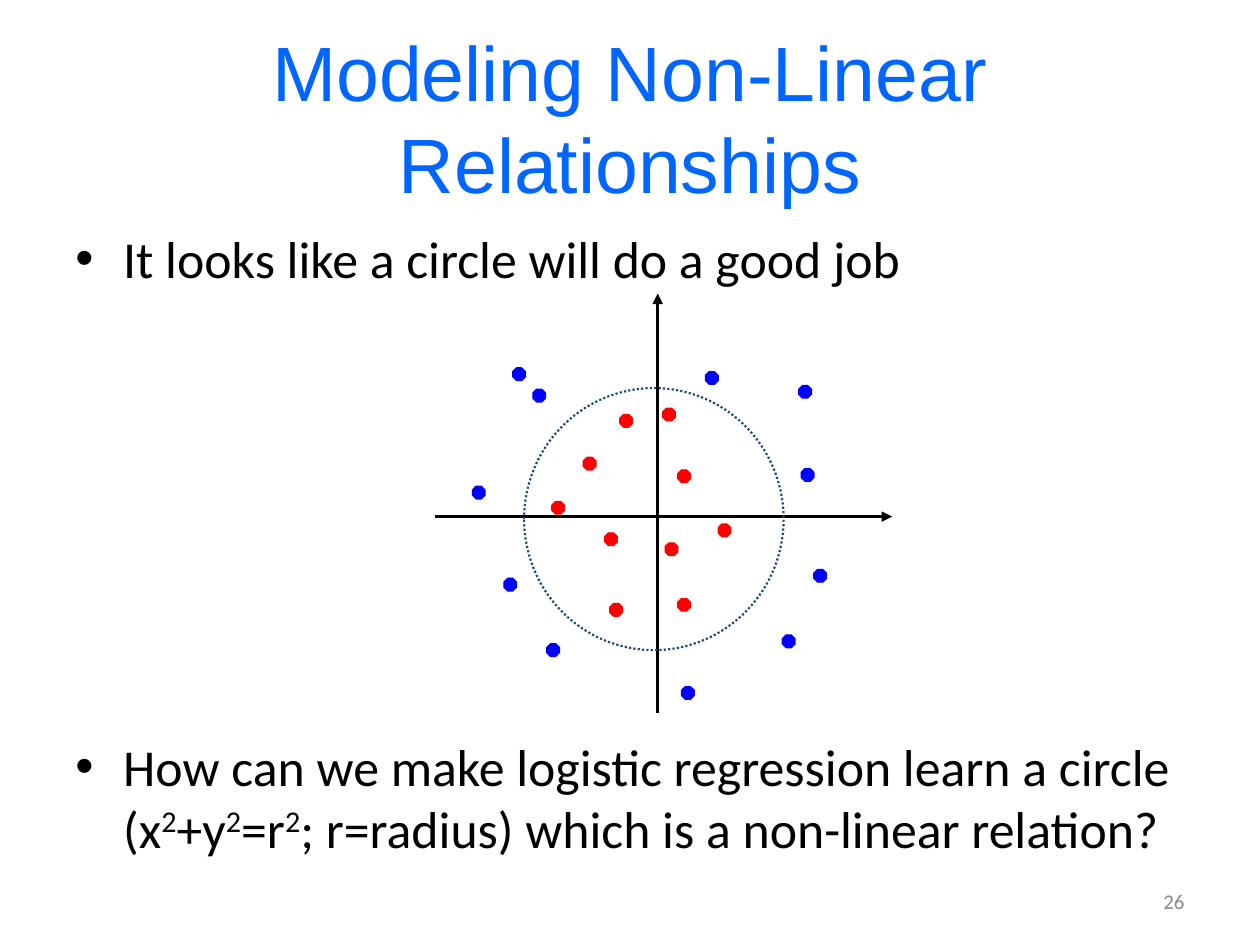
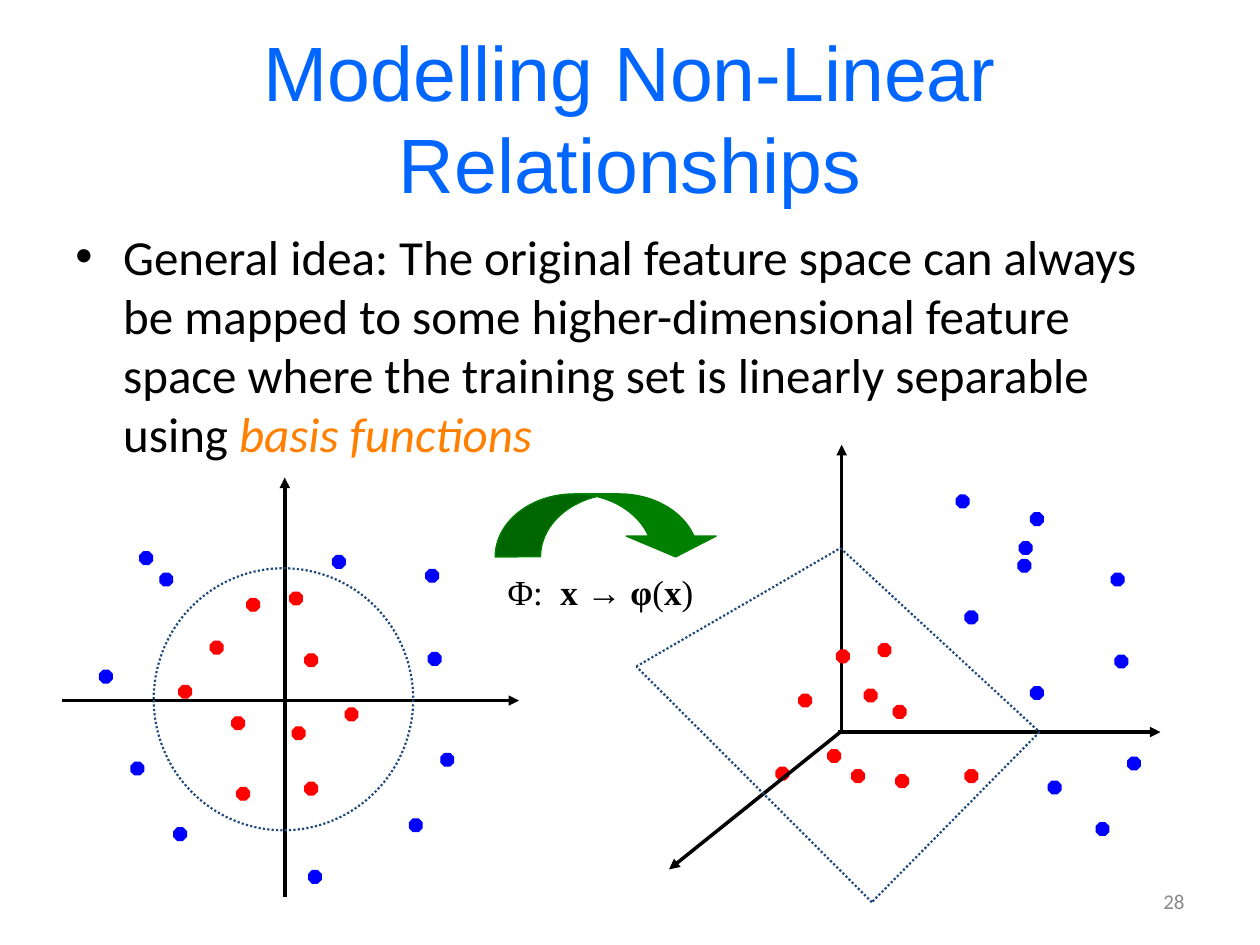
import lxml.etree
import pptx
import pptx.dml.color
import pptx.enum.dml
import pptx.enum.shapes
import pptx.enum.text
import pptx.oxml.ns
import pptx.util

# The slide is a grid of 100 columns by 75 rows of square cells.
COLUMNS, ROWS = 100, 75
CELL = pptx.util.Inches(0.1)
TITLE_BLUE, BLACK, GREY, ORANGE = "0066FF", "000000", "898989", "FF8000"
INSIDE_RED, OUTSIDE_BLUE, BOUNDARY_NAVY, MAPPING_GREEN = "FF0000", "0000FF", "1F497D", "008000"
DOT_SIZE = 1
CIRCLE_SIZE = (20.6, 20.8)
SHAPES = pptx.enum.shapes.MSO_SHAPE
ALIGN = pptx.enum.text.PP_ALIGN
ANCHOR = pptx.enum.text.MSO_ANCHOR
qn = pptx.oxml.ns.qn


def rgb(hex_string):
    return pptx.dml.color.RGBColor.from_string(hex_string)


def add_text(slide, area, runs, size, font="Calibri", color=BLACK, align=ALIGN.LEFT,
             anchor=ANCHOR.TOP, hanging=0, bullet=None):
    """Add one paragraph; runs are (text, format) pairs, area and hanging are in cells."""
    box = slide.shapes.add_textbox(*[round(v * CELL) for v in area])
    frame = box.text_frame
    frame.word_wrap = True
    frame.vertical_anchor = anchor
    paragraph = frame.paragraphs[0]
    paragraph.alignment = align
    if hanging:
        properties = paragraph._p.get_or_add_pPr()
        properties.set("marL", str(round(hanging * CELL)))
        properties.set("indent", str(round(-hanging * CELL)))
        if bullet:
            lxml.etree.SubElement(properties, qn("a:buFont"), typeface="Arial")
            lxml.etree.SubElement(properties, qn("a:buChar"), char=bullet)
    for text, style in runs:
        run = paragraph.add_run()
        run.text = text
        run.font.name = font
        run.font.size = pptx.util.Pt(size)
        run.font.bold = style.get("bold", False)
        run.font.italic = style.get("italic", False)
        run.font.color.rgb = rgb(style.get("color", color))
        if style.get("superscript"):
            run._r.get_or_add_rPr().set("baseline", "30000")


presentation = pptx.Presentation()
presentation.slide_width = COLUMNS * CELL
presentation.slide_height = ROWS * CELL

plain, bold, squared = {}, {"bold": True}, {"superscript": True}
pages = [
    ("Modeling Non-Linear Relationships", "26", [
        (17.5, 29.6, [("It looks like a circle will do a good job", plain)]),
        (57.8, 29.6, [
            ("How can we make logistic regression learn a circle (x", plain), ("2", squared),
            ("+y", plain), ("2", squared), ("=r", plain), ("2", squared),
            ("; r=radius) which is a non-linear relation?", plain)]),
    ]),
    ("Modelling Non-Linear Relationships", "28", [
        (17.5, 28, [
            ("General idea: The original feature space can always be mapped to some "
             "higher-dimensional feature space where the training set is linearly "
             "separable using ", plain),
            ("basis functions", {"italic": True, "color": ORANGE})]),
    ]),
]
slides = []
for title, number, bullets in pages:
    slide = presentation.slides.add_slide(presentation.slide_layouts[6])
    slides.append(slide)
    add_text(slide, (5, 3, 90, 12.5), [(title, plain)], 44, font="Arial",
             color=TITLE_BLUE, align=ALIGN.CENTER, anchor=ANCHOR.MIDDLE)
    for top, size, runs in bullets:
        add_text(slide, (5, top, 90, 12), runs, size, hanging=3.8, bullet="•")
    add_text(slide, (71.7, 69.5, 23.3, 4), [(number, plain)], 12,
             color=GREY, align=ALIGN.RIGHT, anchor=ANCHOR.MIDDLE)

# Positions in each plot are cells right of and below its origin.
plane_axes = [((0, 15.6), (0, -17.7)), ((-17.7, 0), (18.6, 0))]
plane_inside = [(0.9, -8.1), (-5.4, -4.2), (-3.7, 1.8), (2.1, 7), (-2.5, -7.6),
                (-7.9, -0.7), (-3.3, 7.4), (2.1, -3.2), (5.3, 1.1), (1.1, 2.6)]
plane_outside = [(11.9, -3.3), (10.4, 9.9), (-14.2, -1.9), (2.4, 14), (12.9, 4.7),
                 (-8.3, 10.6), (-11.7, 5.4), (-11, -11.3), (4.3, -11), (-9.4, -9.6),
                 (11.7, -9.9)]
space_axes = [((0, -0.2), (0, -22.8)), ((-0.3, 0), (25.3, 0))]
depth_axis = ((-0.1, 0), (-13.7, 10.9))
space_inside = [(3.4, -6.5), (-2.9, -2.5), (1.3, 3.5), (10.3, 3.5), (0.1, -6),
                (2.3, -2.9), (4.8, 3.9), (4.6, -1.6), (-0.6, 1.9), (-4.7, 3.3)]
space_outside = [(22.2, -5.6), (20.7, 7.7), (15.5, -16.9), (15.5, -3.1), (23.2, 2.5),
                 (10.3, -9.1), (16.9, 4.4), (14.6, -14.6), (14.5, -13.2), (9.6, -18.3),
                 (21.9, -12.1)]
plane_corners = [(-0.1, -14.6), (15.7, 0), (2.4, 13.5), (-16.3, -5.2)]
separating_plane = list(zip(plane_corners, plane_corners[1:] + plane_corners[:1]))

plots = [
    (slides[0], (52.2, 41), plane_axes, plane_inside, plane_outside, [("circle", (-0.3, 0.2))]),
    (slides[1], (22.6, 55.6), plane_axes, plane_inside, plane_outside, [("circle", (-0.1, -0.1))]),
    (slides[1], (66.8, 58.1), space_axes, space_inside, space_outside,
     [("axis", depth_axis)] + [("edge", edge) for edge in separating_plane]),
]
for slide, (origin_x, origin_y), axes, inside, outside, boundary in plots:
    marks = [("axis", axis) for axis in axes]
    marks += [("inside", center) for center in inside]
    marks += [("outside", center) for center in outside]
    for role, place in marks + boundary:
        if role in ("axis", "edge"):
            ends = [round(v * CELL) for x, y in place for v in (origin_x + x, origin_y + y)]
            mark = slide.shapes.add_connector(pptx.enum.shapes.MSO_CONNECTOR.STRAIGHT, *ends)
            lxml.etree.SubElement(mark._element.spPr, qn("a:effectLst"))
        else:
            width, height = CIRCLE_SIZE if role == "circle" else (DOT_SIZE, DOT_SIZE)
            area = (origin_x + place[0] - width / 2, origin_y + place[1] - height / 2,
                    width, height)
            mark = slide.shapes.add_shape(
                SHAPES.OVAL if role == "circle" else SHAPES.OCTAGON,
                *[round(v * CELL) for v in area])
            mark.shadow.inherit = False
        if role == "axis":
            mark.line.color.rgb = rgb(BLACK)
            mark.line.width = pptx.util.Pt(2)
            lxml.etree.SubElement(mark.line._get_or_add_ln(), qn("a:tailEnd"), type="triangle")
        elif role in ("edge", "circle"):
            mark.line.color.rgb = rgb(BOUNDARY_NAVY)
            mark.line.width = pptx.util.Pt(1.25)
            mark.line.dash_style = pptx.enum.dml.MSO_LINE.ROUND_DOT
            if role == "circle":
                mark.fill.background()
        else:
            class_color = rgb(INSIDE_RED if role == "inside" else OUTSIDE_BLUE)
            mark.fill.solid()
            mark.fill.fore_color.rgb = class_color
            mark.line.color.rgb = class_color
            mark.line.width = pptx.util.Pt(0.75)

mapping = slides[1].shapes.add_shape(
    SHAPES.CURVED_DOWN_ARROW, *[round(v * CELL) for v in (39.3, 39.2, 17.9, 5)])
mapping.shadow.inherit = False
for index, share in enumerate((0.72, 1.43, 0.33)):
    mapping.adjustments[index] = share
mapping.fill.solid()
mapping.fill.fore_color.rgb = rgb(MAPPING_GREEN)
mapping.line.color.rgb = rgb(MAPPING_GREEN)
mapping.line.width = pptx.util.Pt(0.75)
add_text(slides[1], (39.3, 44.8, 18.4, 4.3),
         [("Φ:\t", plain), ("x → φ", bold), ("(", plain), ("x", bold), (")", plain)],
         20, font="Times New Roman", hanging=4.2)

presentation.save("out.pptx")
